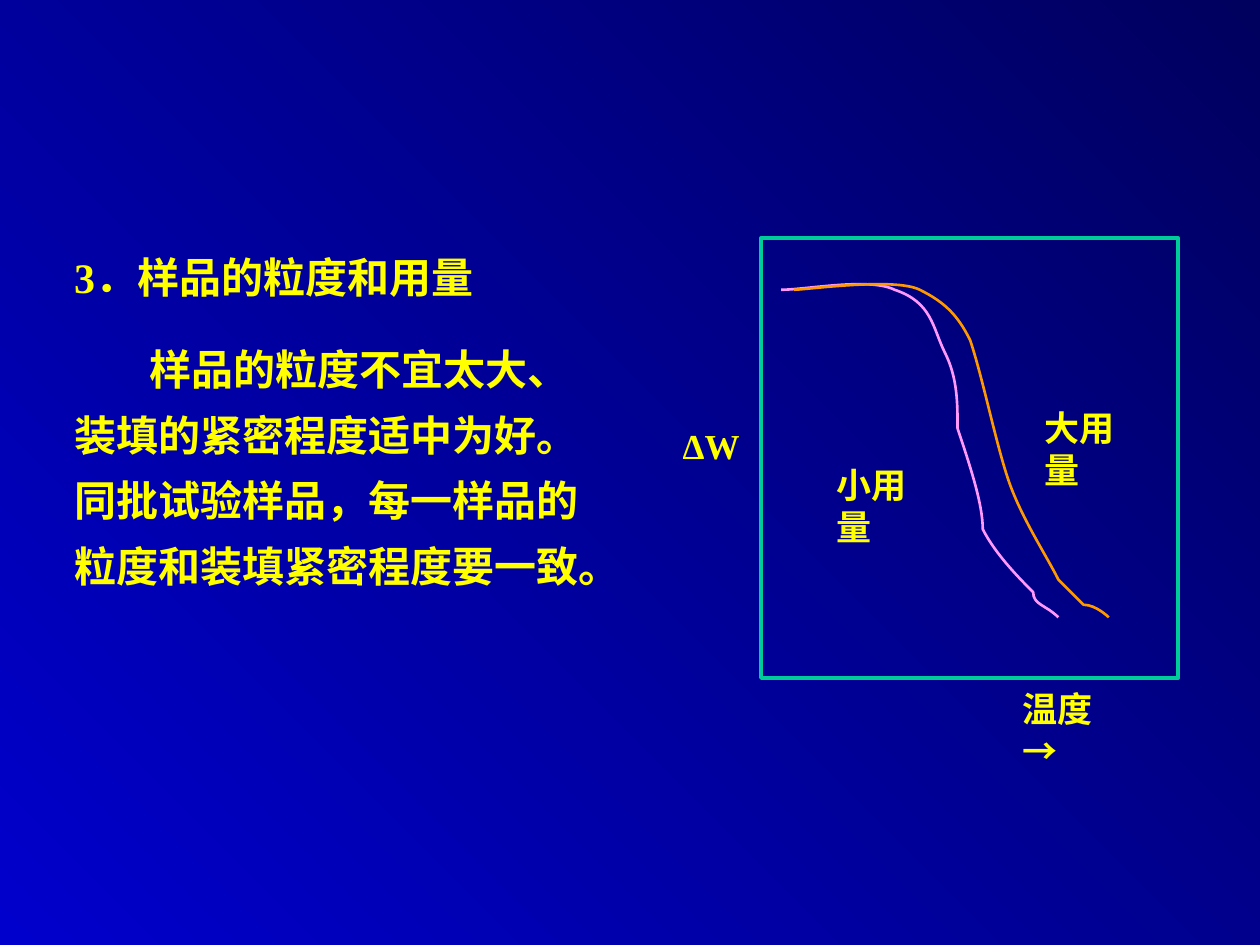
import pptx
import pptx.dml.color
import pptx.enum.shapes
import pptx.enum.text
import pptx.oxml
import pptx.util

COLORS = {"bg_light": "0000CC", "bg_dark": "00005E", "text": "FFFF00",
          "frame": "00CC99", "small": "FF99FF", "large": "FF9900"}
FONT = "Times New Roman"

prs = pptx.Presentation()
prs.slide_width = pptx.util.Inches(10)
prs.slide_height = pptx.util.Inches(7.5)
U = prs.slide_width // 100  # square grid: 100 columns by 75 rows
s = prs.slides.add_slide(prs.slide_layouts[6])


def rgb(name):
    return pptx.dml.color.RGBColor.from_string(COLORS[name])


def add_text(box, lines, size, wrap):
    """Add a bold text box placed in grid units; return its text frame."""
    tf = s.shapes.add_textbox(*(int(v * U) for v in box)).text_frame
    tf.word_wrap = wrap
    tf.auto_size = pptx.enum.text.MSO_AUTO_SIZE.SHAPE_TO_FIT_TEXT
    tf.text = "\n".join(lines)
    for p in tf.paragraphs:
        for r in p.runs:
            r.font.name = FONT
            r.font.size = pptx.util.Pt(size)
            r.font.bold = True
            r.font.color.rgb = rgb("text")
    return tf


fill = s.background.fill
fill.gradient()
fill.gradient_angle = 45
for stop, name in zip(fill.gradient_stops, ("bg_light", "bg_dark")):
    stop.color.rgb = rgb(name)

# Explanation on the left
tf = add_text((4.9, 18.3, 44.6, 29.1), [
    "3．样品的粒度和用量",
    "样品的粒度不宜太大、装填的紧密程度适中为好。"
    "同批试验样品，每一样品的粒度和装填紧密程度要一致。"], 24, True)
for p in tf.paragraphs:
    p.line_spacing = 1.3
body = tf.paragraphs[1]
body.space_before = pptx.util.Pt(15)
body._p.get_or_add_pPr().set("indent", str(6 * U))

# Weight-loss curves: a start point, then two control points and an end per segment
curves = {
    "small": [(62.5, 22.8),
              (64, 22.9), (69.3, 22.4), (71.4, 23.2),
              (73.5, 24.1), (74.4, 26.2), (75.2, 28.1),
              (76, 29.9), (75.8, 32), (76.3, 34.4),
              (76.9, 36.8), (77.5, 40.1), (78.3, 42.2),
              (79.2, 44.4), (80.6, 46.3), (81.5, 47.3),
              (82.4, 48.4), (83.2, 48.3), (83.6, 48.6)],
    "large": [(62.8, 22.7),
              (64.5, 22.8), (70.6, 22.1), (73, 22.8),
              (75.4, 23.6), (75.9, 24.7), (77.1, 27.2),
              (78.2, 29.7), (78.9, 34.7), (80, 37.7),
              (81.1, 40.7), (82.8, 43.8), (83.8, 45.5),
              (84.9, 47.2), (85.4, 47.4), (86.2, 48),
              (86.9, 48.5), (88, 48.6), (88.3, 48.7)],
}
for name, points in curves.items():
    fb = s.shapes.build_freeform(*points[0], scale=U)
    fb.add_line_segments(points[1:], close=False)
    sp = fb.convert_to_shape()
    sp.shadow.inherit = False
    sp.fill.background()
    sp.line.color.rgb = rgb(name)
    sp.line.width = pptx.util.Pt(1.5)
    # Turn every three straight segments into one cubic curve
    ns = pptx.oxml.ns.qn
    segments = list(sp._element.iter(ns("a:lnTo")))
    for i in range(0, len(segments), 3):
        curve = pptx.oxml.xmlchemy.OxmlElement("a:cubicBezTo")
        segments[i].addprevious(curve)
        for segment in segments[i:i + 3]:
            curve.append(segment[0])
            segment.getparent().remove(segment)

# Curve and axis labels
for label, x, y, w in (("小用量", 65.4, 36.3, 10.3), ("大用量", 81.9, 31.8, 10.3),
                       ("ΔW", 53.2, 33.2, 6.5), ("温度→", 80.2, 54.1, 10.3)):
    add_text((x, y, w, 4.4), [label], 20, False)

# Plot frame
frame = s.shapes.add_shape(pptx.enum.shapes.MSO_SHAPE.RECTANGLE,
                           *(int(v * U) for v in (60.4, 18.9, 33.1, 34.9)))
frame.shadow.inherit = False
frame.fill.background()
frame.line.color.rgb = rgb("frame")
frame.line.width = pptx.util.Pt(2.25)

prs.save("out.pptx")
